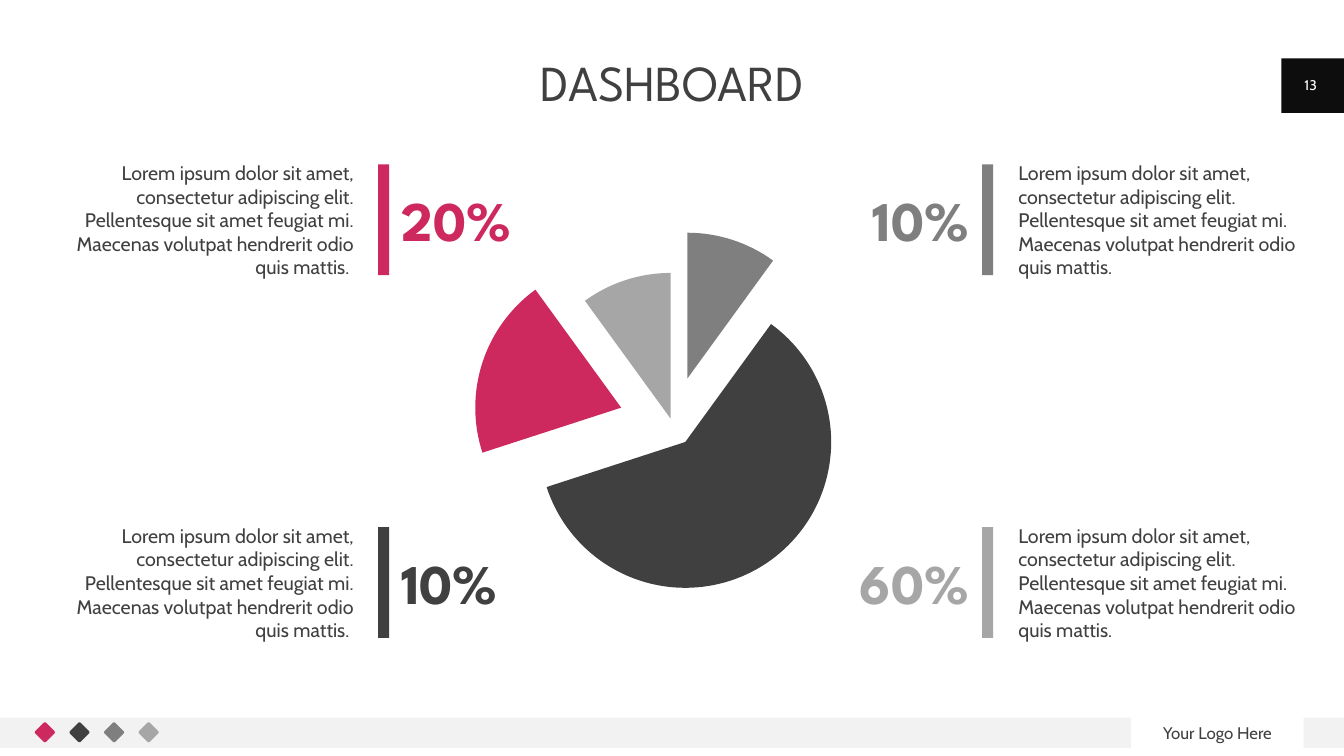
from lxml import etree
from pptx import Presentation
from pptx.chart.data import CategoryChartData
from pptx.dml.color import RGBColor
from pptx.enum.chart import XL_CHART_TYPE
from pptx.enum.shapes import MSO_SHAPE
from pptx.enum.text import MSO_ANCHOR, PP_ALIGN
from pptx.oxml.ns import qn
from pptx.util import Inches, Pt

RECTANGLE = MSO_SHAPE.RECTANGLE
ROUNDED_RECTANGLE = MSO_SHAPE.ROUNDED_RECTANGLE
PIE = XL_CHART_TYPE.PIE
MIDDLE, TOP = MSO_ANCHOR.MIDDLE, MSO_ANCHOR.TOP
LEFT, CENTER, RIGHT = PP_ALIGN.LEFT, PP_ALIGN.CENTER, PP_ALIGN.RIGHT

WHITE = RGBColor(0xFF, 0xFF, 0xFF)
BLACK = RGBColor(0x0D, 0x0D, 0x0D)
PALE = RGBColor(0xF2, 0xF2, 0xF2)
PINK = RGBColor(0xCE, 0x29, 0x5E)
DARK = RGBColor(0x40, 0x40, 0x40)
GRAY = RGBColor(0x7F, 0x7F, 0x7F)
LIGHT = RGBColor(0xA6, 0xA6, 0xA6)

BODY_FONT = "Cabin"
HEADING_FONT = "League Spartan"
LOREM = (
    "Lorem ipsum dolor sit amet, consectetur adipiscing elit. "
    "Pellentesque sit amet feugiat mi. "
    "Maecenas volutpat hendrerit odio quis mattis."
)
SLICES = [(10, GRAY, 33), (60, DARK, 15), (20, PINK, 37), (10, LIGHT, 4)]


def add_block(slide, left, top, width, height, color, preset=RECTANGLE):
    shape = slide.shapes.add_shape(
        preset, Inches(left), Inches(top), Inches(width), Inches(height)
    )
    shape.shadow.inherit = False
    shape.fill.solid()
    shape.fill.fore_color.rgb = color
    shape.line.fill.background()
    return shape


def add_text(slide, left, top, width, height, text, size, color,
             alignment=CENTER, font=BODY_FONT, bold=False, anchor=MIDDLE):
    box = slide.shapes.add_textbox(
        Inches(left), Inches(top), Inches(width), Inches(height)
    )
    frame = box.text_frame
    frame.word_wrap = True
    frame.vertical_anchor = anchor
    frame.margin_left = frame.margin_right = 0
    frame.margin_top = frame.margin_bottom = 0
    paragraph = frame.paragraphs[0]
    paragraph.alignment = alignment
    run = paragraph.add_run()
    run.text = text
    run.font.name = font
    run.font.size = Pt(size)
    run.font.bold = bold
    run.font.color.rgb = color
    return paragraph


def add_pie(slide):
    data = CategoryChartData()
    data.categories = [str(number + 1) for number in range(len(SLICES))]
    data.add_series("Series 1", [value for value, _, _ in SLICES])
    chart = slide.shapes.add_chart(
        PIE, Inches(3.49), Inches(2.09), Inches(6.36), Inches(4.24), data
    ).chart
    chart.has_legend = False
    chart.has_title = False
    chart.font.name = BODY_FONT
    chart.font.size = Pt(10)
    plot = chart.plots[0]
    plot.vary_by_categories = True
    for index, (_, color, distance) in enumerate(SLICES):
        point_format = plot.series[0].points[index].format
        point_format.fill.solid()
        point_format.fill.fore_color.rgb = color
        point_format.line.fill.background()
    for data_point, (_, _, distance) in zip(
        chart._chartSpace.iter(qn("c:dPt")), SLICES
    ):
        explosion = etree.Element(qn("c:explosion"), val=str(distance))
        data_point.find(qn("c:spPr")).addprevious(explosion)


def add_left_item(slide, top, value, color):
    add_text(slide, 0.56, top - 0.04, 2.95, 1.18, LOREM + " ", 14, DARK, RIGHT)
    add_block(slide, 3.75, top, 0.11, 1.1, color)
    add_text(slide, 3.98, top + 0.21, 2.08, 0.67, value, 40, color,
             LEFT, HEADING_FONT, True)


def add_right_item(slide, top, value, color):
    add_text(slide, 10.1, top - 0.04, 2.95, 1.18, LOREM, 14, DARK, LEFT)
    add_block(slide, 9.74, top, 0.11, 1.1, color)
    add_text(slide, 7.53, top + 0.21, 2.08, 0.67, value, 40, color,
             RIGHT, HEADING_FONT, True)


def add_footer(slide):
    add_block(slide, 0, 7.12, 11.22, 0.3, PALE)
    add_block(slide, 12.93, 7.12, 0.4, 0.3, PALE)
    for index, color in enumerate((PINK, DARK, GRAY, LIGHT)):
        diamond = add_block(slide, 0.37 + 0.343 * index, 7.19, 0.15, 0.15,
                            color, ROUNDED_RECTANGLE)
        diamond.adjustments[0] = 0.11
        diamond.rotation = 45
    add_text(slide, 11.22, 7.12, 1.71, 0.3, "Your Logo Here", 12, DARK)


def main():
    presentation = Presentation()
    presentation.slide_width = Inches(13.33)
    presentation.slide_height = Inches(7.5)
    slide = presentation.slides.add_slide(presentation.slide_layouts[6])

    add_footer(slide)
    add_block(slide, 12.71, 0.58, 0.62, 0.54, BLACK)
    add_text(slide, 12.77, 0.64, 0.46, 0.4, "13", 10, WHITE)
    title = add_text(slide, 0.92, 0.58, 11.5, 0.55, "DASHBOARD", 36, DARK,
                     font=HEADING_FONT, anchor=TOP)
    title.line_spacing = 0.9
    add_pie(slide)
    add_right_item(slide, 1.63, "10%", GRAY)
    add_right_item(slide, 5.23, "60%", LIGHT)
    add_left_item(slide, 1.63, "20%", PINK)
    add_left_item(slide, 5.23, "10%", DARK)
    presentation.save("out.pptx")


if __name__ == "__main__":
    main()
